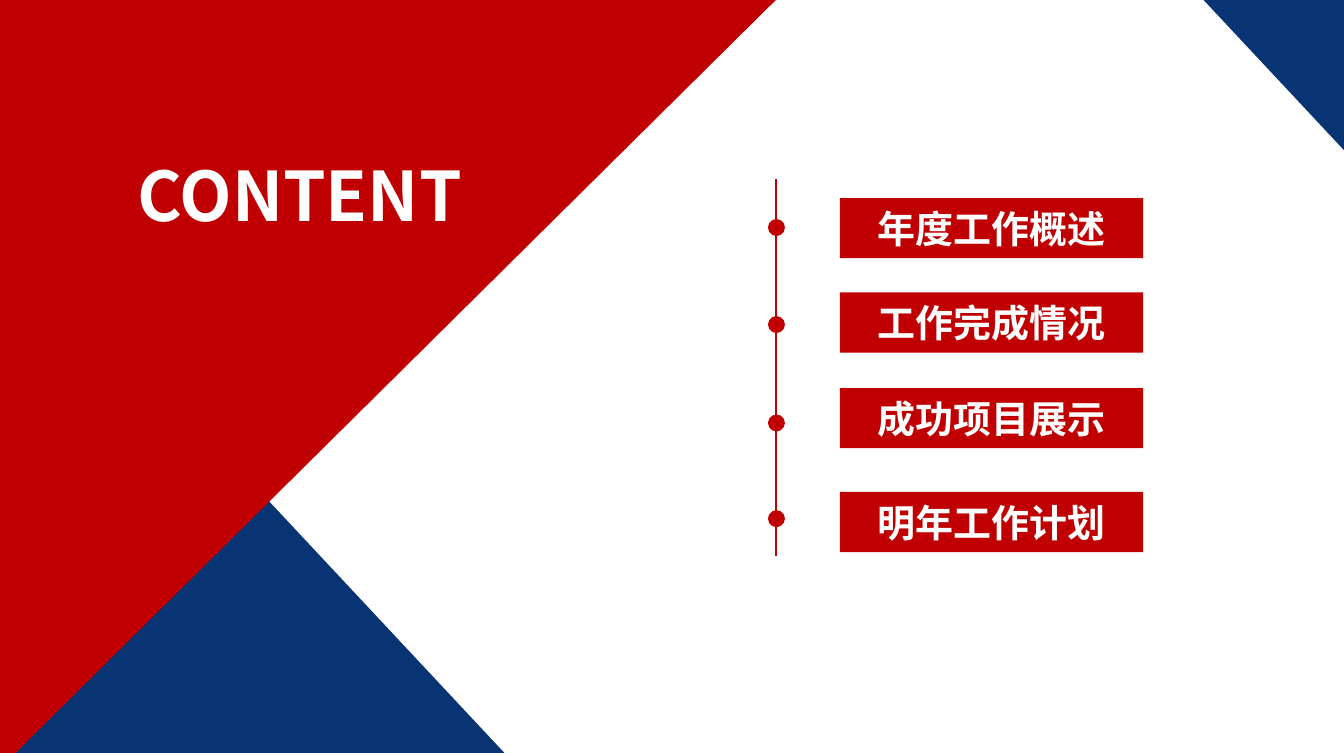
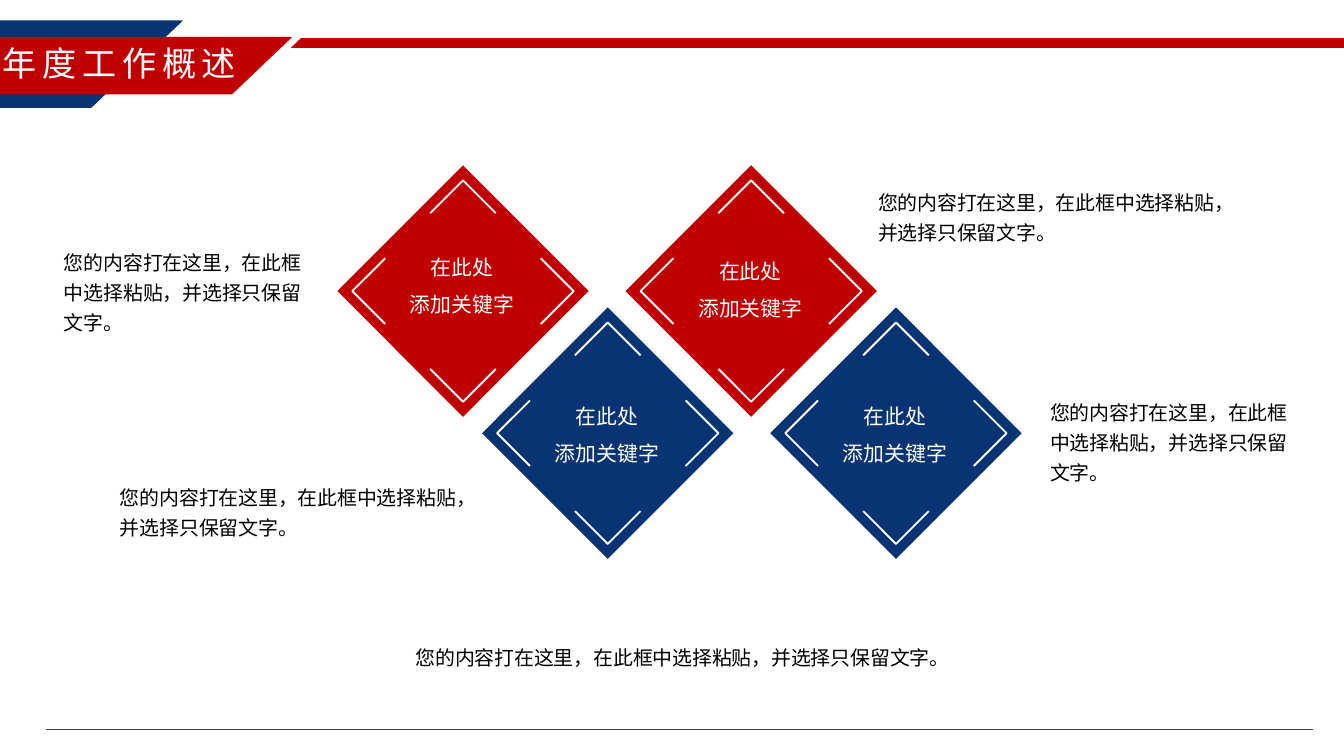
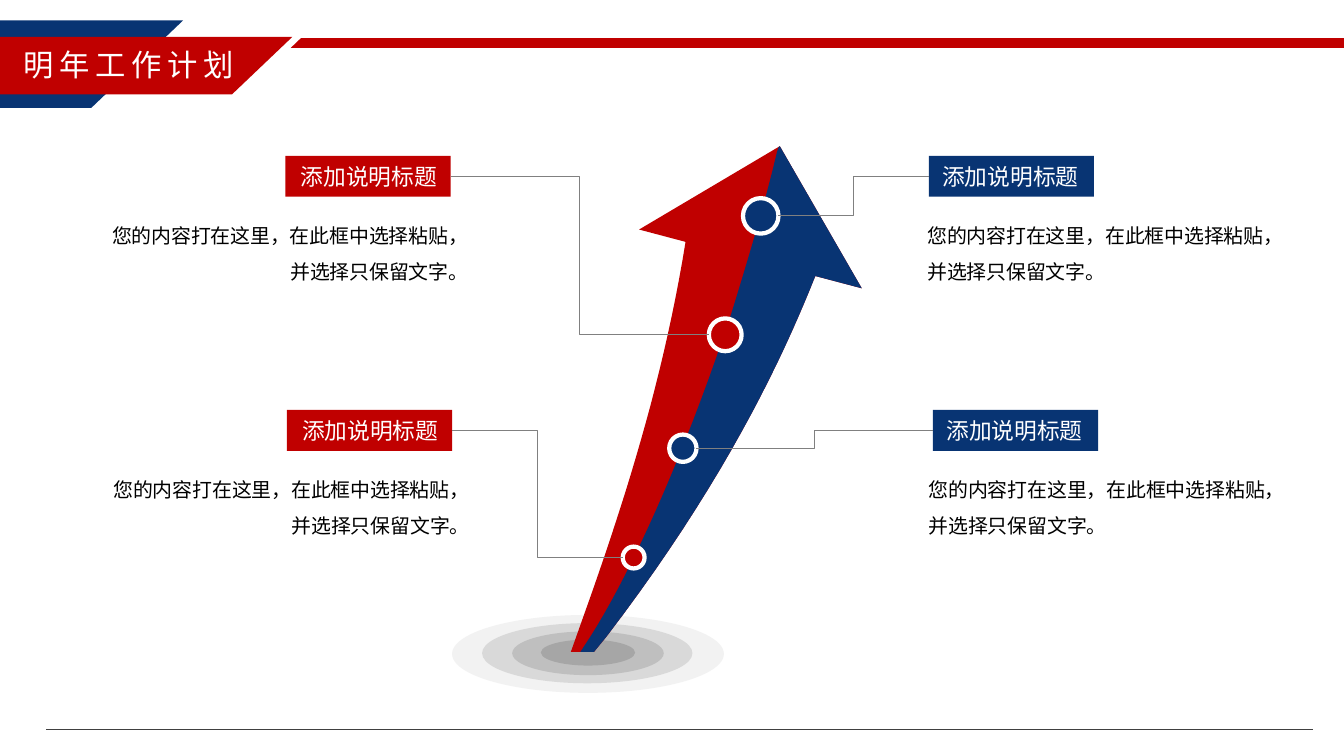
import pptx
import pptx.dml.color
import pptx.enum.shapes
import pptx.enum.text
import pptx.oxml
import pptx.oxml.ns
import pptx.util

PX = 9144
COLOURS = {
    "red": "C00000", "blue": "083473", "white": "FFFFFF", "black": "000000",
    "link": "808080", "footer": "404040",
    "ring1": "F2F2F2", "ring2": "D9D9D9", "ring3": "BFBFBF", "ring4": "A6A6A6",
}
RGB = {name: pptx.dml.color.RGBColor.from_string(code) for name, code in COLOURS.items()}
CJK = "Noto Sans CJK SC"
KIND = pptx.enum.shapes.MSO_SHAPE
LINK = pptx.enum.shapes.MSO_CONNECTOR
ALIGN = pptx.enum.text.PP_ALIGN
MIDDLE = pptx.enum.text.MSO_ANCHOR.MIDDLE
BODY = "您的内容打在这里，在此框中选择粘贴，并选择只保留文字。"
BODY_FONT = {"name": "Calibri", "size": pptx.util.Pt(10.5)}
FLUSH = {"margin_left": 0, "margin_right": 0}


def paint(shape, fill=None, line=None, width=1):
    shape.shadow.inherit = False
    for part, colour in ((shape.fill, fill), (shape.line.fill, line)):
        if colour:
            part.solid()
            part.fore_color.rgb = RGB[colour]
        else:
            part.background()
    if line:
        shape.line.width = pptx.util.Pt(width)
    return shape


def write(shape, lines, font, colour, paragraph={}, frame={}, spacing=0):
    for key, value in {"word_wrap": True, **frame}.items():
        setattr(shape.text_frame, key, value)
    for index, words in enumerate(lines):
        row = shape.text_frame.add_paragraph() if index else shape.text_frame.paragraphs[0]
        for key, value in paragraph.items():
            setattr(row, key, value)
        run = row.add_run()
        run.text = words
        for key, value in font.items():
            setattr(run.font, key, value)
        run.font.color.rgb = RGB[colour]
        properties = run.font._element
        if spacing:
            properties.set("spc", str(spacing * 100))
        east_asian = pptx.oxml.parse_xml(f'<a:ea {pptx.oxml.ns.nsdecls("a")} typeface="{CJK}"/>')
        properties.find(pptx.oxml.ns.qn("a:latin")).addnext(east_asian)


deck = pptx.Presentation()
deck.slide_width, deck.slide_height = 984 * PX, 551 * PX
contents, overview, plan = [deck.slides.add_slide(deck.slide_layouts[6]) for _ in range(3)]
links = []

for slide, title, size, box in (
    (overview, "年度工作概述", 18, (-101, 26, 377, 40)),
    (plan, "明年工作计划", 16, (-94, 29, 377, 37)),
):
    for band, colour in (
        ((-81, 15, 215, 64), "blue"),
        ((-81, 27, 295, 42), "red"),
        ((213, 28, 817, 7), "red"),
    ):
        stripe = slide.shapes.add_shape(KIND.PARALLELOGRAM, *[v * PX for v in band])
        stripe.adjustments[0] = 1.05
        paint(stripe, colour)
    heading = slide.shapes.add_textbox(*[v * PX for v in box])
    write(heading, [title], {"name": CJK, "size": pptx.util.Pt(size)}, "white",
          {"alignment": ALIGN.CENTER}, spacing=3)
    links.append((slide, LINK.STRAIGHT, (34, 534, 961, 534), "footer", 0.5))

for left, top, angle, colour in (
    (-362, 368, 226.9, "blue"), (-363, -163, 315.3, "red"), (751, -325, 226.9, "blue"),
):
    panel = contents.shapes.add_shape(KIND.RECTANGLE, *[v * PX for v in (left, top, 888, 536)])
    panel.rotation = angle
    paint(panel, colour)

heading = contents.shapes.add_textbox(*[v * PX for v in (38, 107, 310, 71)])
write(heading, ["CONTENT"], {"name": CJK, "size": pptx.util.Pt(36), "bold": True}, "white",
      {"alignment": ALIGN.RIGHT})
links.append((contents, LINK.STRAIGHT, (568, 131, 568, 407), "red", 1))
for chapter, top, dot_top in (
    ("年度工作概述", 145, 161), ("工作完成情况", 214, 232),
    ("成功项目展示", 284, 304), ("明年工作计划", 360, 374),
):
    entry = contents.shapes.add_shape(KIND.RECTANGLE, *[v * PX for v in (615, top, 222, 44)])
    paint(entry, "red")
    write(entry, [chapter], {"name": CJK, "size": pptx.util.Pt(20), "bold": True}, "white",
          {"alignment": ALIGN.CENTER}, {"vertical_anchor": MIDDLE})
    dot = contents.shapes.add_shape(KIND.OVAL, *[v * PX for v in (563, dot_top, 11, 11)])
    paint(dot, "red", "red")

for x, y, rise, colour in (
    (339, 213, 10, "red"), (550, 213, 7, "red"), (445, 317, 5, "blue"), (656, 317, 5, "blue"),
):
    diamond = overview.shapes.add_shape(KIND.DIAMOND, *[v * PX for v in (x - 92, y - 92, 184, 184)])
    paint(diamond, colour)
    corner = [(-24, -57), (0, -81), (24, -57)]
    for _ in range(4):
        points = [((x + dx) * PX, (y + dy) * PX) for dx, dy in corner]
        outline = overview.shapes.build_freeform(*points[0])
        outline.add_line_segments(points[1:], close=False)
        paint(outline.convert_to_shape(), line="white")
        corner = [(-dy, dx) for dx, dy in corner]
    keyword = overview.shapes.add_textbox(*[v * PX for v in (x - 39, y - rise - 31, 77, 62)])
    write(keyword, ["在此处", "添加关键字"], {"name": "Arial", "size": pptx.util.Pt(11)}, "white",
          {"alignment": ALIGN.CENTER, "line_spacing": 1.5}, {**FLUSH, "word_wrap": False})

for box, align in (
    ((633, 130, 285, 53), ALIGN.LEFT), ((759, 284, 208, 75), ALIGN.LEFT),
    ((78, 346, 269, 53), ALIGN.LEFT), ((37, 174, 202, 75), ALIGN.LEFT),
    ((190, 463, 620, 31), ALIGN.CENTER),
):
    note = overview.shapes.add_textbox(*[v * PX for v in box])
    write(note, [BODY], BODY_FONT, "black", {"alignment": align, "line_spacing": 1.25})

for box, colour in (
    ((331, 450, 199, 57), "ring1"), ((353, 456, 154, 44), "ring2"),
    ((375, 462, 111, 32), "ring3"), ((396, 468, 69, 19), "ring4"),
):
    paint(plan.shapes.add_shape(KIND.OVAL, *[v * PX for v in box]), colour)

right_edge = [(571, 107), (631, 211), (597, 202), (572, 265, 529, 355, 444, 466), (435, 477)]
for left_edge, colour in (
    ([(418, 477), (434, 432), (462, 352, 487, 270, 502, 177), (468, 168)], "red"),
    ([(425, 477), (427, 474), (460, 425, 500, 336, 535, 231),
      (548, 189, 560, 149, 569, 111), (570, 108)], "blue"),
):
    points = []
    for step in right_edge + left_edge:
        if len(step) == 2:
            points.append(step)
            continue
        x0, y0 = points[-1]
        x1, y1, x2, y2, x3, y3 = step
        for t in [i / 20 for i in range(1, 21)]:
            u = 1 - t
            weights = (u ** 3, 3 * u * u * t, 3 * u * t * t, t ** 3)
            points.append(tuple(sum(w * v for w, v in zip(weights, axis))
                                for axis in ((x0, x1, x2, x3), (y0, y1, y2, y3))))
    points = [(round(x * PX), round(y * PX)) for x, y in points]
    arrow = plan.shapes.build_freeform(*points[0])
    arrow.add_line_segments(points[1:], close=True)
    paint(arrow.convert_to_shape(), colour)

for left, top, body_left, colour, stop_left, stop_top, stop in (
    (209, 114, 69, "red", 519, 233, 24), (210, 300, 70, "red", 456, 400, 16),
    (680, 114, 679, "blue", 544, 145, 26), (683, 300, 680, "blue", 490, 318, 20),
):
    on_left = colour == "red"
    align = ALIGN.RIGHT if on_left else ALIGN.LEFT
    label = plan.shapes.add_shape(KIND.RECTANGLE, *[v * PX for v in (left, top, 121, 30)])
    paint(label, colour)
    write(label, ["添加说明标题"], {"name": "Calibri", "size": pptx.util.Pt(12)}, "white",
          {"alignment": align}, {"vertical_anchor": MIDDLE, "word_wrap": False})
    note = plan.shapes.add_textbox(*[v * PX for v in (body_left, top + 36, 274, 60)])
    write(note, [BODY], BODY_FONT, "black", {"alignment": align, "line_spacing": 1.5}, FLUSH)
    milestone = plan.shapes.add_shape(KIND.OVAL, *[v * PX for v in (stop_left, stop_top, stop, stop)])
    paint(milestone, colour, "white", 2.25)
    start = left + 121 if on_left else left
    end = stop_left if on_left else stop_left + stop
    links.append((plan, LINK.ELBOW, (start, top + 15, end, stop_top + stop // 2), "link", 0.5))

for slide, kind, ends, colour, width in links:
    link = slide.shapes.add_connector(kind, *[v * PX for v in ends])
    link.line.color.rgb = RGB[colour]
    link.line.width = pptx.util.Pt(width)
    link._element.spPr.append(pptx.oxml.parse_xml(f'<a:effectLst {pptx.oxml.ns.nsdecls("a")}/>'))

deck.save("out.pptx")
